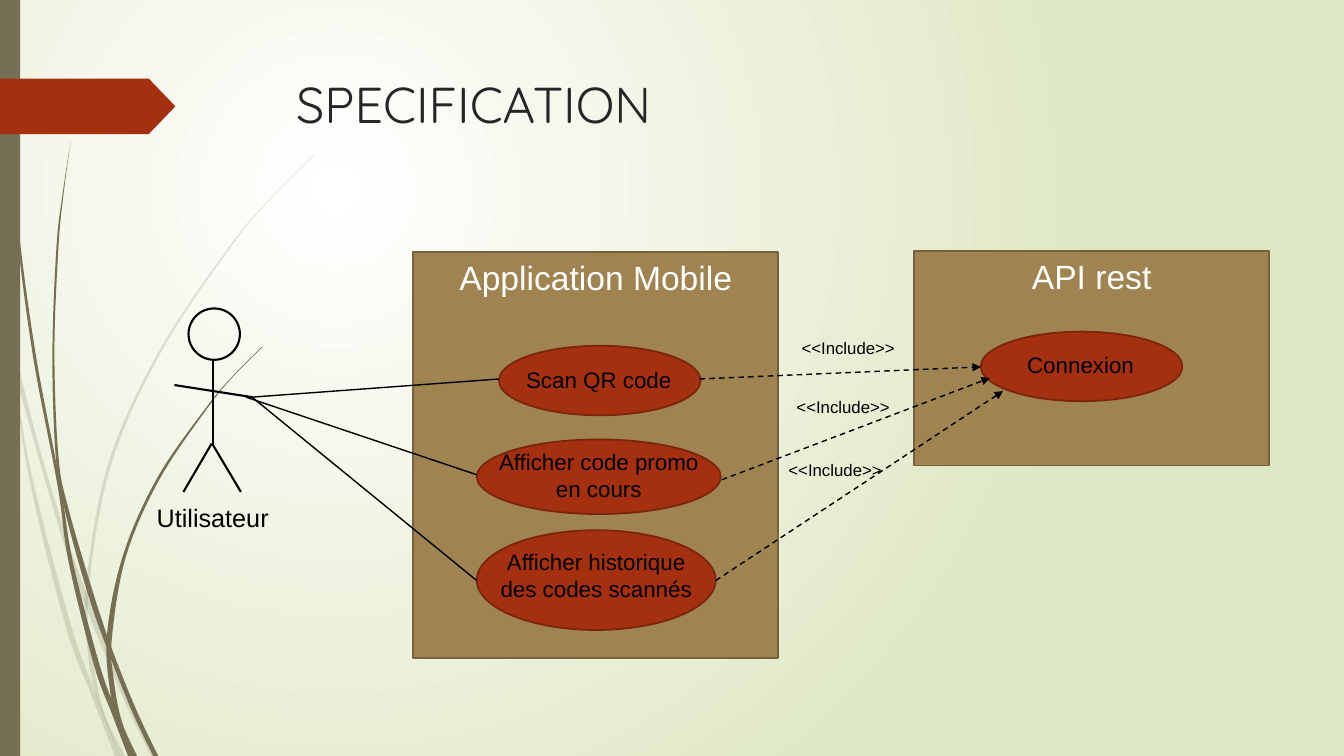
from dataclasses import dataclass
from typing import Optional

import pptx
import pptx.dml.color
import pptx.enum.dml
import pptx.enum.shapes
import pptx.enum.text
import pptx.oxml
import pptx.oxml.ns
import pptx.util

SHAPE = pptx.enum.shapes.MSO_SHAPE
ALIGN = pptx.enum.text.PP_ALIGN
Point = tuple[float, float]

BLACK, WHITE, DARK = "000000", "FFFFFF", "262626"
OLIVE, RED, RED_EDGE = "766F54", "A53010", "7A240C"
BROWN, BROWN_EDGE = "9F8351", "76613C"


@dataclass
class Blade:
    """A grass blade, given by its two edges from tip to root."""
    left: list[Point]
    right: list[Point]
    alpha: int = 100


@dataclass
class System:
    name: str
    box: tuple[float, float, float, float]


@dataclass
class UseCase:
    text: str
    oval: tuple[float, float, float, float]
    label: tuple[float, float, float, float]


@dataclass
class Link:
    start: Point
    end: Point
    width: float = 1
    include: Optional[Point] = None  # corner of the <<Include>> label


BLADES = [
    Blade([(0, 2.99), (0.1, 3.44), (0.28, 4.7), (0.65, 6.21), (0.92, 6.93), (1.14, 7.5)],
          [(0, 2.82), (0.11, 3.5), (0.31, 4.69), (0.7, 6.19), (0.93, 6.83), (1.19, 7.5)], 20),
    Blade([(0.14, 3.45), (0.17, 3.76), (0.58, 5.22), (0.84, 5.99), (1.23, 6.94), (1.5, 7.5)],
          [(0.14, 3.45), (0.36, 4.33), (0.62, 5.2), (0.85, 5.86), (1.27, 6.92), (1.55, 7.5)], 20),
    Blade([(3.12, 1.53), (2.68, 1.97), (2.28, 2.44), (1.58, 3.48), (1.07, 4.61), (0.85, 5.84),
           (0.87, 6.46), (0.96, 6.92), (1.19, 7.5)],
          [(3.12, 1.54), (2.68, 1.98), (2.29, 2.45), (1.6, 3.49), (1.1, 4.62), (0.88, 5.84),
           (0.91, 6.46), (1.03, 7.06), (1.24, 7.5)], 20),
    Blade([(0.03, 0), (0.07, 1.1), (0.17, 2.33), (0.33, 3.55), (0.57, 4.81), (0.68, 5.57),
           (0.93, 6.59), (1.11, 7.08), (1.27, 7.5)],
          [(0.04, 0), (0.08, 1.09), (0.19, 2.32), (0.36, 3.55), (0.6, 4.81), (0.72, 5.56),
           (0.98, 6.57), (1.16, 7.08), (1.31, 7.5)]),
    Blade([(0.7, 1.41), (0.62, 1.93), (0.56, 2.45), (0.52, 3.49), (0.55, 4.49), (0.64, 5.05),
           (0.88, 5.92), (1.11, 6.56), (1.32, 7.08), (1.52, 7.5)],
          [(0.7, 1.41), (0.63, 1.93), (0.58, 2.45), (0.54, 3.49), (0.58, 4.53), (0.68, 5.05),
           (0.93, 5.9), (1.13, 6.49), (1.36, 7.06), (1.57, 7.5)]),
    Blade([(2.6, 3.44), (2.31, 3.73), (2.04, 4.05), (1.56, 4.74), (1.22, 5.51), (1.06, 6.31),
           (1.1, 6.91), (1.17, 7.19), (1.3, 7.5)],
          [(2.61, 3.44), (2.31, 3.74), (2.05, 4.06), (1.58, 4.76), (1.25, 5.52), (1.11, 6.33),
           (1.13, 6.75), (1.21, 7.16), (1.36, 7.5)]),
]
SYSTEMS = [
    System("Application Mobile", (4.1, 2.5, 3.62, 4.03)),
    System("API rest", (9.07, 2.49, 3.52, 2.13)),
]
USE_CASES = [
    UseCase("Scan QR code", (4.95, 3.43, 2, 0.69), (5.04, 3.58, 1.8, 0.44)),
    UseCase("Afficher code promo en cours", (4.73, 4.36, 2.42, 0.74), (4.73, 4.4, 2.42, 0.69)),
    UseCase("Afficher historique des codes scannés", (4.73, 5.26, 2.37, 0.99),
            (4.73, 5.39, 2.37, 0.75)),
    UseCase("Connexion", (9.73, 3.29, 2, 0.69), (9.82, 3.43, 1.8, 0.44)),
]
HAND = (2.5, 3.94)
LINKS = [
    # User to use cases
    Link((4.95, 3.76), HAND),
    Link((4.73, 4.71), (2.44, 3.94)),
    Link((4.73, 5.76), HAND),
    # Use cases to the login
    Link((6.94, 3.76), (9.73, 3.64), include=(7.76, 3.3)),
    Link((7.16, 4.76), (9.82, 3.75), include=(7.71, 3.89)),
    Link((7.1, 5.76), (9.95, 3.88), include=(7.63, 4.51)),
    # Body, legs and arms of the user
    Link((2.11, 3.57), (2.11, 4.42), 1.5),
    Link((2.39, 4.88), (2.11, 4.41), 1.5),
    Link((1.82, 4.88), (2.1, 4.4), 1.5),
    Link(HAND, (1.73, 3.82), 1.5),
]


def cm(inches: float) -> pptx.util.Length:
    return pptx.util.Cm(inches * 2.54)


def rgb(color: str) -> pptx.dml.color.RGBColor:
    return pptx.dml.color.RGBColor.from_string(color)


def sub(parent, tag: str, **attrs: str):
    el = pptx.oxml.parse_xml(f'<a:{tag} {pptx.oxml.ns.nsdecls("a")}/>')
    for name, value in attrs.items():
        el.set(name, value)
    parent.append(el)
    return el


def paint(sp, fill: Optional[str] = None, line: Optional[str] = None, width: float = 1.25) -> None:
    sp.shadow.inherit = False
    if fill:
        sp.fill.solid()
        sp.fill.fore_color.rgb = rgb(fill)
    else:
        sp.fill.background()
    if line:
        sp.line.color.rgb = rgb(line)
        sp.line.width = pptx.util.Pt(width)
    else:
        sp.line.fill.background()


def add_shape(s, kind, box, **look):
    sp = s.shapes.add_shape(kind, *map(cm, box))
    paint(sp, **look)
    return sp


def write(tf, text: str, *, size: float, color: str = BLACK, font: str = "Arial",
          align=ALIGN.CENTER) -> None:
    tf.word_wrap = True
    tf.vertical_anchor = pptx.enum.text.MSO_ANCHOR.TOP
    p = tf.paragraphs[0]
    p.alignment = align
    r = p.add_run()
    r.text = text
    r.font.size, r.font.name = pptx.util.Pt(size), font
    r.font.color.rgb = rgb(color)


def add_text(s, box, text: str, **fmt) -> None:
    write(s.shapes.add_textbox(*map(cm, box)).text_frame, text, **fmt)


def smooth(pts: list[Point], steps: int = 8) -> list[Point]:
    """Catmull-Rom curve through the points."""
    ends = [pts[0], *pts, pts[-1]]
    curve = []
    for a, b, c, d in zip(ends, ends[1:], ends[2:], ends[3:]):
        for t in (i / steps for i in range(steps)):
            curve.append(tuple(
                (2 * q + (r - p) * t + (2 * p - 5 * q + 4 * r - u) * t ** 2
                 + (3 * q - p - 3 * r + u) * t ** 3) / 2
                for p, q, r, u in zip(a, b, c, d)))
    return curve + [pts[-1]]


def add_blade(s, blade: Blade) -> None:
    outline = smooth(blade.left) + smooth(blade.right)[::-1]
    pts = [(cm(x), cm(y)) for x, y in outline]
    fb = s.shapes.build_freeform(*pts[0])
    fb.add_line_segments(pts[1:], close=True)
    sp = fb.convert_to_shape()
    paint(sp, fill=OLIVE)
    if blade.alpha < 100:
        clr = sp.fill._xPr.find(".//" + pptx.oxml.ns.qn("a:srgbClr"))
        sub(clr, "alpha", val=str(blade.alpha * 1000))


def add_link(s, link: Link) -> None:
    cx = s.shapes.add_connector(pptx.enum.shapes.MSO_CONNECTOR.STRAIGHT,
                                *map(cm, link.start + link.end))
    cx.line.color.rgb = rgb(BLACK)
    cx.line.width = pptx.util.Pt(link.width)
    if link.include:
        cx.line.dash_style = pptx.enum.dml.MSO_LINE.DASH
        sub(cx.line._get_or_add_ln(), "tailEnd", type="triangle")
        add_text(s, (*link.include, 1.31, 0.48), "<<Include>>", size=12)
    sub(cx._element.spPr, "effectLst")


def set_background(s) -> None:
    fill = s.background.fill
    fill.gradient()
    for stop, color in zip(fill.gradient_stops, (WHITE, "DFE8C4")):
        stop.color.rgb = rgb(color)
    for stop, position in zip(fill.gradient_stops, (0, 1)):
        stop.position = position
    grad = s._element.cSld.find(".//" + pptx.oxml.ns.qn("a:gradFill"))
    grad.remove(grad.find(pptx.oxml.ns.qn("a:lin")))
    sub(sub(grad, "path", path="circle"), "fillToRect",
        l="50000", t="50000", r="100000", b="100000")


def main() -> None:
    prs = pptx.Presentation()
    prs.slide_width, prs.slide_height = cm(13.333), cm(7.5)
    s = prs.slides.add_slide(prs.slide_layouts[6])

    # Backdrop
    set_background(s)
    for blade in BLADES:
        add_blade(s, blade)
    add_shape(s, SHAPE.RECTANGLE, (0, 0, 0.2, 7.5), fill=OLIVE)
    sp = add_shape(s, SHAPE.PENTAGON, (0, 0.78, 1.74, 0.55), fill=RED)
    sp.adjustments[0] = 0.48
    add_text(s, (2.84, 0.68, 9.75, 1.4), "SPECIFICATION", size=36, color=DARK,
             font="Quicksand", align=ALIGN.LEFT)

    # Systems and their use cases
    for system in SYSTEMS:
        sp = add_shape(s, SHAPE.RECTANGLE, system.box, fill=BROWN, line=BROWN_EDGE)
        write(sp.text_frame, system.name, size=24, color=WHITE)
    for case in USE_CASES:
        add_shape(s, SHAPE.OVAL, case.oval, fill=RED, line=RED_EDGE)
        add_text(s, case.label, case.text, size=16)

    # User and links
    add_shape(s, SHAPE.OVAL, (1.87, 3.06, 0.51, 0.51), line=BLACK, width=1.5)
    for link in LINKS:
        add_link(s, link)
    add_text(s, (1.45, 4.93, 1.32, 0.44), "Utilisateur", size=18)

    prs.save("out.pptx")


if __name__ == "__main__":
    main()
